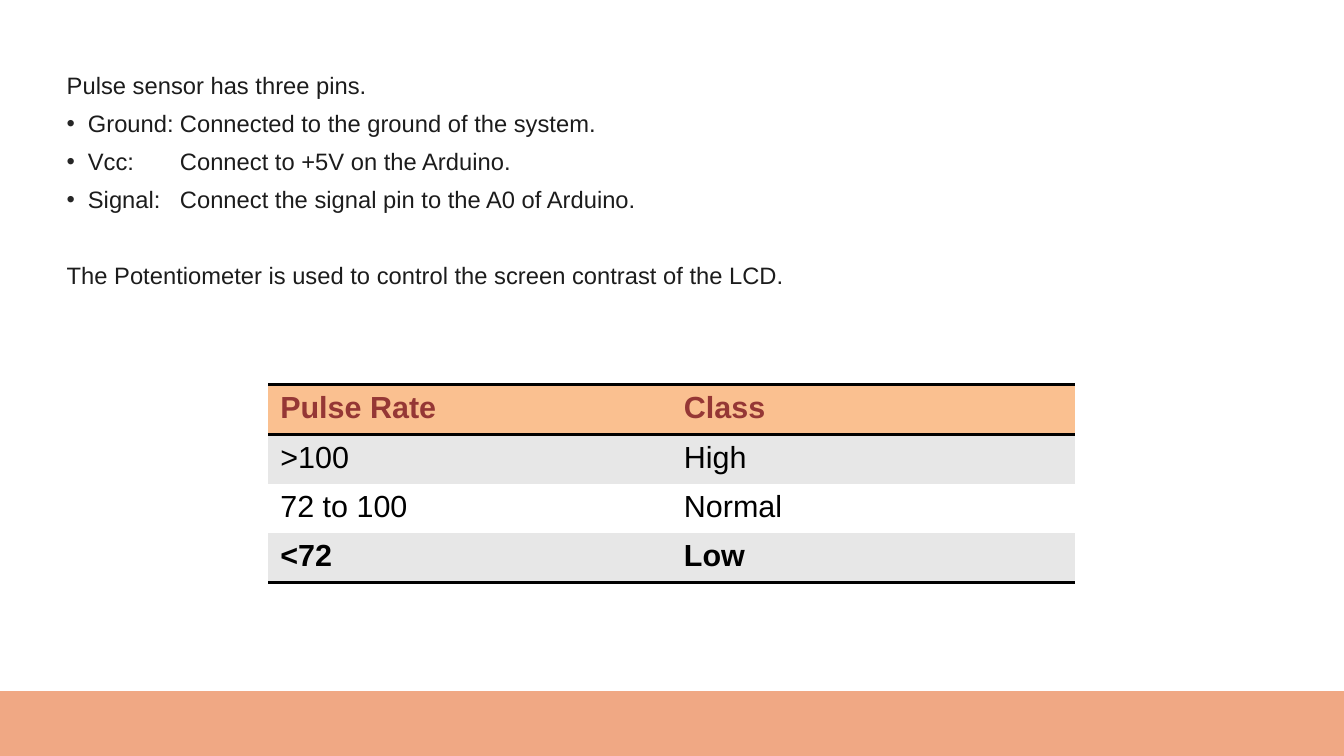
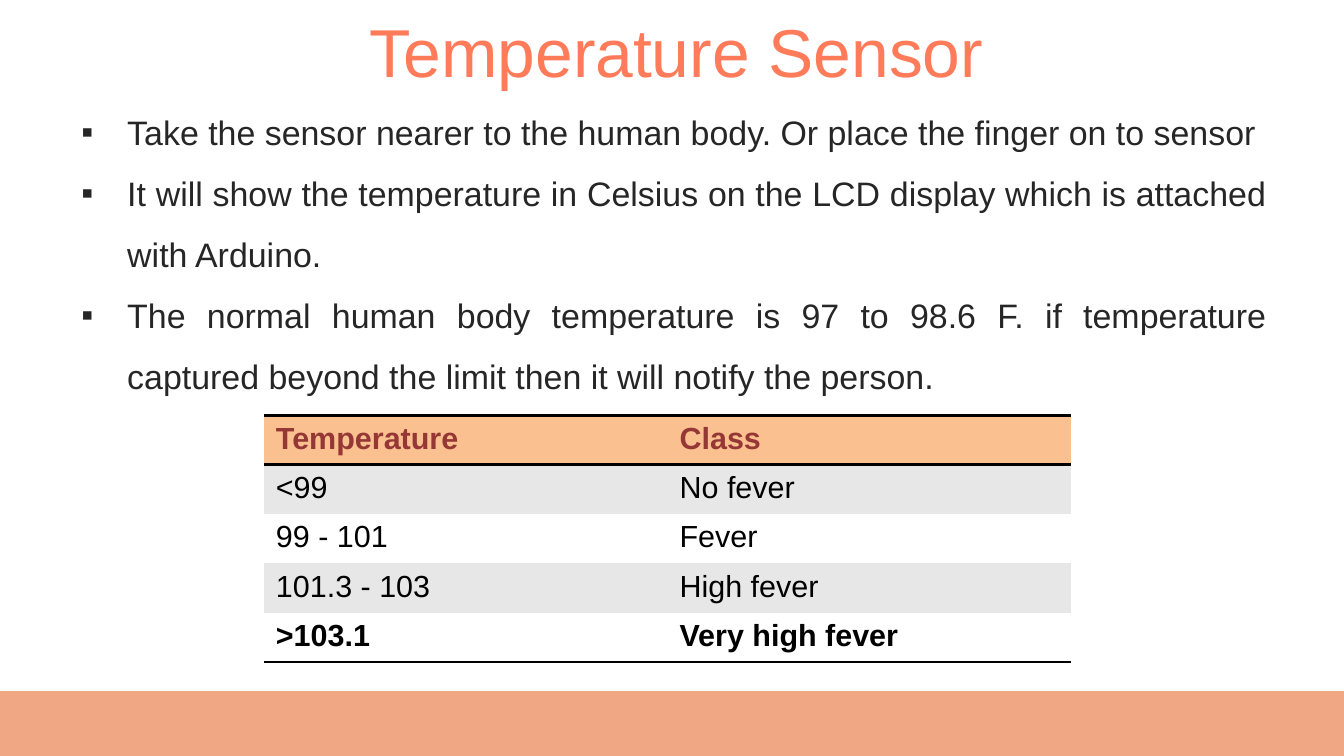
from lxml.etree import SubElement
from pptx import Presentation
from pptx.dml.color import RGBColor
from pptx.enum.shapes import MSO_SHAPE
from pptx.enum.text import PP_ALIGN
from pptx.oxml.ns import qn
from pptx.util import Pt

SLIDE_WIDTH, SLIDE_HEIGHT = 793.4, 446.4
BAND_HEIGHT = 38.2
ROW_HEIGHT = 29.16
TABLE_WIDTH = 476.6
FONT = "Arial"
PLAIN_TABLE_STYLE = "{2D5ABB26-0587-4C30-8999-92F81FD0307C}"

BAND = RGBColor(0xF0, 0xA8, 0x84)
TITLE = RGBColor(0xFF, 0x7B, 0x59)
INK = RGBColor(0x1C, 0x1C, 0x1C)
SOFT_INK = RGBColor(0x26, 0x26, 0x26)
HEADER_FILL = RGBColor(0xFA, 0xC0, 0x90)
HEADER_INK = RGBColor(0x95, 0x37, 0x35)
STRIPE = RGBColor(0xE7, 0xE7, 0xE7)
WHITE = RGBColor(0xFF, 0xFF, 0xFF)
BLACK = RGBColor(0x00, 0x00, 0x00)

PINS = [
    ("Ground:", "Connected to the ground of the system."),
    ("Vcc:", "Connect to +5V on the Arduino."),
    ("Signal:", "Connect the signal pin to the A0 of Arduino."),
]
TEMPERATURE_POINTS = [
    "Take the sensor nearer to the human body. Or place the finger on to sensor",
    "It will show the temperature in Celsius on the LCD display which is attached with Arduino.",
    "The normal human body temperature is 97 to 98.6 F. if temperature captured beyond "
    "the limit then it will notify the person.",
]
PULSE_CLASSES = [
    ("Pulse Rate", "Class"),
    (">100", "High"),
    ("72 to 100", "Normal"),
    ("<72", "Low"),
]
TEMPERATURE_CLASSES = [
    ("Temperature", "Class"),
    ("<99", "No fever"),
    ("99 - 101", "Fever"),
    ("101.3 - 103", "High fever"),
    (">103.1", "Very high fever"),
]


def write_text(paragraph, text, *, size, color, bold=False, align=PP_ALIGN.LEFT,
               before=0, after=0, line=None, bullet=None, margin=0, hanging=0, tab=None):
    paragraph.alignment = align
    paragraph.space_before = Pt(before)
    paragraph.space_after = Pt(after)
    if line:
        paragraph.line_spacing = line
    run = paragraph.add_run()
    run.text = text
    run.font.name = FONT
    run.font.size = Pt(size)
    run.font.bold = bold
    run.font.color.rgb = color
    if bullet:
        properties = paragraph._p.get_or_add_pPr()
        properties.set("marL", str(Pt(margin)))
        properties.set("indent", str(Pt(-hanging)))
        bullet_color = SubElement(properties, qn("a:buClr"))
        SubElement(bullet_color, qn("a:srgbClr"), val=str(SOFT_INK))
        SubElement(properties, qn("a:buFont"), typeface=FONT)
        SubElement(properties, qn("a:buChar"), char=bullet)
        if tab:
            tabs = SubElement(properties, qn("a:tabLst"))
            SubElement(tabs, qn("a:tab"), pos=str(Pt(tab)), algn="l")


def add_text_box(slide, left, top, width, height, entries):
    frame = slide.shapes.add_textbox(Pt(left), Pt(top), Pt(width), Pt(height)).text_frame
    frame.word_wrap = True
    frame.margin_left = frame.margin_right = frame.margin_top = frame.margin_bottom = 0
    for index, (text, style) in enumerate(entries):
        paragraph = frame.add_paragraph() if index else frame.paragraphs[0]
        write_text(paragraph, text, **style)


def add_title(slide, text):
    style = dict(size=40, color=TITLE, align=PP_ALIGN.CENTER)
    add_text_box(slide, 5.6, 5.8, 787.4, 48.2, [(text, style)])


def add_band(slide):
    band = slide.shapes.add_shape(MSO_SHAPE.RECTANGLE, 0, Pt(SLIDE_HEIGHT - BAND_HEIGHT),
                                  Pt(SLIDE_WIDTH), Pt(BAND_HEIGHT))
    band.shadow.inherit = False
    band.fill.solid()
    band.fill.fore_color.rgb = BAND
    band.line.fill.background()


def add_rule(cell, side):
    properties = cell._tc.get_or_add_tcPr()
    rule = SubElement(properties, qn(f"a:ln{side}"), w=str(Pt(2)))
    fill = SubElement(rule, qn("a:solidFill"))
    SubElement(fill, qn("a:srgbClr"), val=str(BLACK))


def add_class_table(slide, left, top, rows):
    graphic_frame = slide.shapes.add_table(len(rows), 2, Pt(left), Pt(top),
                                           Pt(TABLE_WIDTH), Pt(ROW_HEIGHT * len(rows)))
    table = graphic_frame.table
    table.first_row = table.horz_banding = False
    for style in table._tbl.iter(qn("a:tableStyleId")):
        style.text = PLAIN_TABLE_STYLE
    last = len(rows) - 1
    for row_index, row in enumerate(rows):
        table.rows[row_index].height = Pt(ROW_HEIGHT)
        header = row_index == 0
        fill = HEADER_FILL if header else STRIPE if row_index % 2 else WHITE
        for column_index, text in enumerate(row):
            cell = table.cell(row_index, column_index)
            if header:
                add_rule(cell, "T")
            if row_index in (0, last):
                add_rule(cell, "B")
            cell.fill.solid()
            cell.fill.fore_color.rgb = fill
            write_text(cell.text_frame.paragraphs[0], text, size=18,
                       color=HEADER_INK if header else BLACK, bold=row_index in (0, last))


def add_pulse_notes(slide, left, top, width, height):
    plain = dict(size=14, color=INK, align=PP_ALIGN.JUSTIFY, before=2.8, after=2.8)
    pin = dict(plain, bullet="•", margin=12.5, hanging=12.5, tab=66.8)
    entries = [("Pulse sensor has three pins.", plain)]
    entries += [(f"{name}\t{use}", pin) for name, use in PINS]
    entries.append(("The Potentiometer is used to control the screen contrast of the LCD.",
                    dict(plain, before=25.2)))
    add_text_box(slide, left, top, width, height, entries)


def add_temperature_notes(slide, left, top, width, height):
    point = dict(size=20, color=SOFT_INK, align=PP_ALIGN.JUSTIFY, line=1.5,
                 bullet="▪", margin=69.3, hanging=27)
    add_text_box(slide, left, top, width, height,
                 [(text, point) for text in TEMPERATURE_POINTS])


def build_pulse_slide(slide):
    add_pulse_notes(slide, 39.4, 41.8, 735.8, 150)
    add_band(slide)
    add_class_table(slide, 158.3, 227.3, PULSE_CLASSES)


def build_temperature_slide(slide):
    add_title(slide, "Temperature Sensor")
    add_temperature_notes(slide, 5.8, 53.8, 742.3, 187)
    add_band(slide)
    add_class_table(slide, 155.7, 245.2, TEMPERATURE_CLASSES)


def main():
    presentation = Presentation()
    presentation.slide_width = Pt(SLIDE_WIDTH)
    presentation.slide_height = Pt(SLIDE_HEIGHT)
    for build in (build_pulse_slide, build_temperature_slide):
        build(presentation.slides.add_slide(presentation.slide_layouts[6]))
    presentation.save("out.pptx")


if __name__ == "__main__":
    main()
